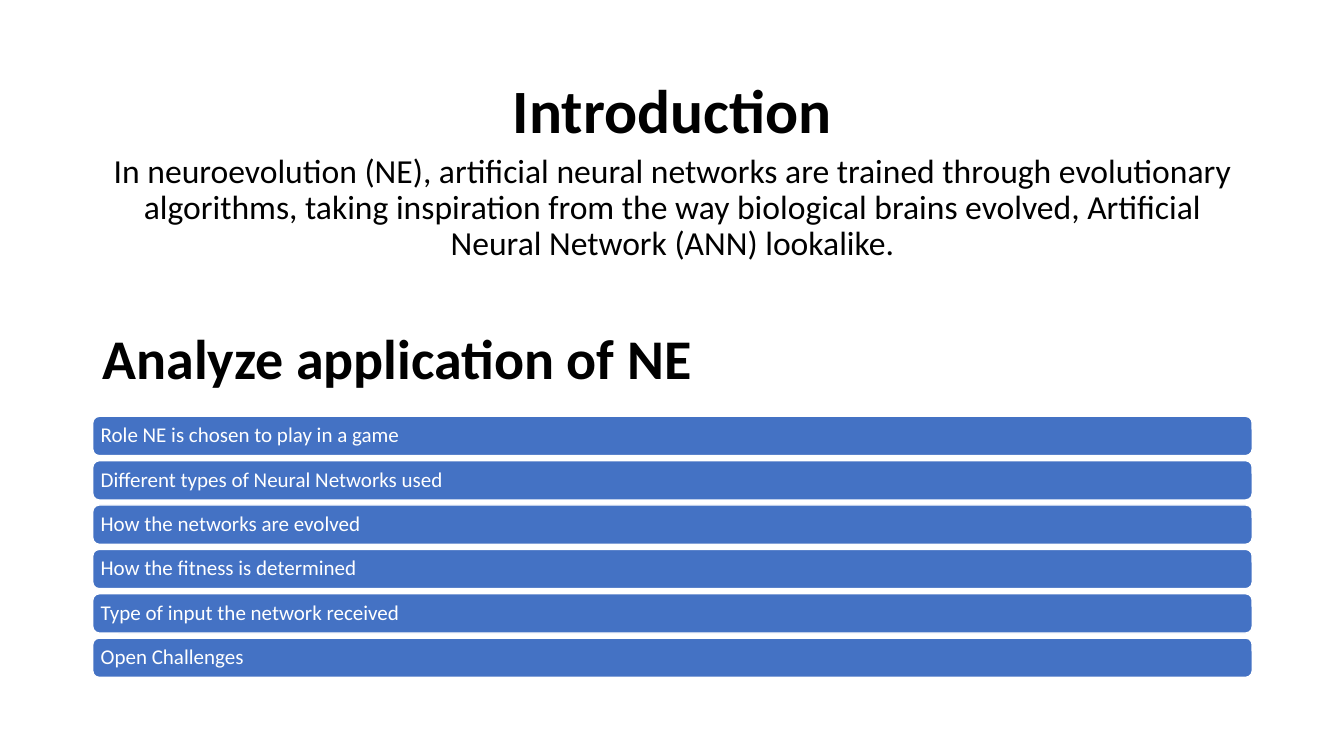
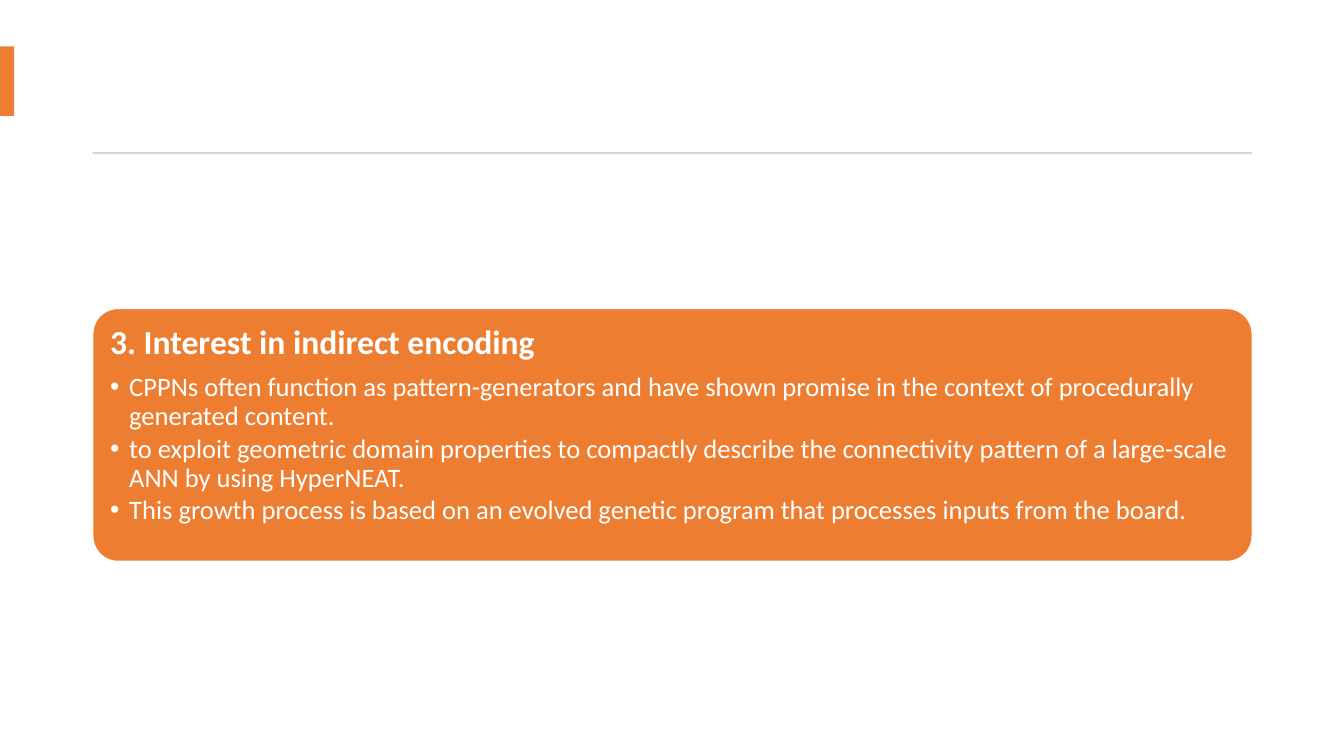
from dataclasses import dataclass

from lxml import etree
from pptx import Presentation
from pptx.dml.color import RGBColor
from pptx.enum.shapes import MSO_SHAPE
from pptx.enum.text import MSO_ANCHOR, MSO_AUTO_SIZE, PP_ALIGN
from pptx.oxml.ns import qn
from pptx.shapes.autoshape import Shape
from pptx.slide import Slide
from pptx.text.text import TextFrame
from pptx.util import Inches, Pt

RECT, ROUNDED = MSO_SHAPE.RECTANGLE, MSO_SHAPE.ROUNDED_RECTANGLE
TOP, MIDDLE = MSO_ANCHOR.TOP, MSO_ANCHOR.MIDDLE
LEFT, CENTER = PP_ALIGN.LEFT, PP_ALIGN.CENTER
TITLE_AND_CONTENT, BLANK = 1, 6


@dataclass(frozen=True)
class Theme:
    font: str = "Calibri"
    black: RGBColor = RGBColor(0x00, 0x00, 0x00)
    white: RGBColor = RGBColor(0xFF, 0xFF, 0xFF)
    blue: RGBColor = RGBColor(0x44, 0x72, 0xC4)
    orange: RGBColor = RGBColor(0xED, 0x7D, 0x31)
    gray: RGBColor = RGBColor(0xD5, 0xD5, 0xD5)
    title_size: float = 44
    heading_size: float = 40
    body_size: float = 24
    point_size: float = 19
    bar_size: float = 15
    line_spacing: float = 0.9


@dataclass(frozen=True)
class Box:
    left: float
    top: float
    width: float
    height: float

    def emu(self) -> tuple[int, int, int, int]:
        return (Inches(self.left), Inches(self.top),
                Inches(self.width), Inches(self.height))


@dataclass(frozen=True)
class Line:
    text: str
    size: float
    color: RGBColor
    bold: bool = False
    align: PP_ALIGN = LEFT
    before: float = 0
    after: float = 0
    bullet: bool = False


THEME = Theme()
MARGIN, CONTENT_WIDTH = 0.92, 11.5
BAR_TOP, BAR_HEIGHT, BAR_PITCH = 4.13, 0.39, 0.44
BULLET_INDENT = 0.19

INTRODUCTION = (
    "In neuroevolution (NE), artificial neural networks are trained through "
    "evolutionary algorithms, taking inspiration from the way biological brains "
    "evolved, Artificial Neural Network (ANN) lookalike."
)
TOPICS = (
    "Role NE is chosen to play in a game",
    "Different types of Neural Networks used",
    "How the networks are evolved",
    "How the fitness is determined",
    "Type of input the network received",
    "Open Challenges",
)
ENCODING_POINTS = (
    "CPPNs often function as pattern-generators and have shown promise in the "
    "context of procedurally generated content.",
    "to exploit geometric domain properties to compactly describe the "
    "connectivity pattern of a large-scale ANN by using HyperNEAT.",
    "This growth process is based on an evolved genetic program that processes "
    "inputs from the board.",
)


def write(frame: TextFrame, lines: list[Line], anchor: MSO_ANCHOR,
          inset: float | None = None) -> None:
    """Fill a text frame with formatted paragraphs."""
    frame.word_wrap = True
    frame.auto_size = MSO_AUTO_SIZE.NONE
    frame.vertical_anchor = anchor
    if inset is not None:
        frame.margin_left = frame.margin_right = Inches(inset)
        frame.margin_top = frame.margin_bottom = Inches(inset)
    frame.text = "\n".join(line.text for line in lines)
    for paragraph, line in zip(frame.paragraphs, lines):
        paragraph.alignment = line.align
        paragraph.line_spacing = THEME.line_spacing
        paragraph.space_before = Pt(line.before)
        paragraph.space_after = Pt(line.after)
        for run in paragraph.runs:
            run.font.name = THEME.font
            run.font.size = Pt(line.size)
            run.font.bold = line.bold
            run.font.color.rgb = line.color
        # Bullets and hanging indents
        properties = paragraph._p.get_or_add_pPr()
        indent = Inches(BULLET_INDENT) if line.bullet else 0
        properties.set("marL", str(indent))
        properties.set("indent", str(-indent))
        if line.bullet:
            etree.SubElement(properties, qn("a:buFont"), typeface="Arial")
            etree.SubElement(properties, qn("a:buChar"), char="•")
        else:
            etree.SubElement(properties, qn("a:buNone"))


def fill_placeholder(placeholder: Shape, box: Box, line: Line,
                     anchor: MSO_ANCHOR) -> None:
    (placeholder.left, placeholder.top,
     placeholder.width, placeholder.height) = box.emu()
    write(placeholder.text_frame, [line], anchor)


def add_panel(slide: Slide, kind: MSO_SHAPE, box: Box, fill: RGBColor,
              outline: RGBColor | None = None) -> Shape:
    panel = slide.shapes.add_shape(kind, *box.emu())
    panel.shadow.inherit = False
    panel.fill.solid()
    panel.fill.fore_color.rgb = fill
    if outline is None:
        panel.line.fill.background()
    else:
        panel.line.color.rgb = outline
        panel.line.width = Pt(1)
    return panel


def build_introduction(slide: Slide) -> None:
    # Title and definition
    fill_placeholder(
        slide.shapes.title, Box(MARGIN, 0.4, CONTENT_WIDTH, 1.45),
        Line("Introduction", THEME.title_size, THEME.black, True, CENTER), MIDDLE)
    fill_placeholder(
        slide.placeholders[1], Box(MARGIN, 1.48, CONTENT_WIDTH, 1.34),
        Line(INTRODUCTION, THEME.body_size, THEME.black, align=CENTER, before=10),
        TOP)

    # Second heading
    heading = slide.shapes.add_textbox(*Box(MARGIN, 2.86, CONTENT_WIDTH, 1.45).emu())
    write(heading.text_frame,
          [Line("Analyze application of NE", THEME.heading_size, THEME.black, True)],
          MIDDLE)

    # Topic bars
    for index, topic in enumerate(TOPICS):
        box = Box(MARGIN, BAR_TOP + index * BAR_PITCH, CONTENT_WIDTH, BAR_HEIGHT)
        bar = add_panel(slide, ROUNDED, box, THEME.blue, THEME.white)
        write(bar.text_frame,
              [Line(topic, THEME.bar_size, THEME.white, after=5.25)], MIDDLE, 0.06)


def build_encoding(slide: Slide) -> None:
    # Accent tab and rule
    add_panel(slide, RECT, Box(0, 0.46, 0.14, 0.69), THEME.orange)
    add_panel(slide, RECT, Box(MARGIN, 1.51, CONTENT_WIDTH, 0.02), THEME.gray)

    # Card with its points
    card = add_panel(slide, ROUNDED, Box(MARGIN, 3.06, CONTENT_WIDTH, 2.51),
                     THEME.orange, THEME.white)
    card.adjustments[0] = 0.1
    heading = Line("3. Interest in indirect encoding", THEME.body_size,
                   THEME.white, True, after=8.4)
    points = [Line(point, THEME.point_size, THEME.white, after=2.85, bullet=True)
              for point in ENCODING_POINTS]
    write(card.text_frame, [heading, *points], TOP, 0.1)


def main() -> None:
    deck = Presentation()
    deck.slide_width, deck.slide_height = Inches(13.33), Inches(7.5)
    layouts = deck.slide_layouts
    build_introduction(deck.slides.add_slide(layouts[TITLE_AND_CONTENT]))
    build_encoding(deck.slides.add_slide(layouts[BLANK]))
    deck.save("out.pptx")


if __name__ == "__main__":
    main()
